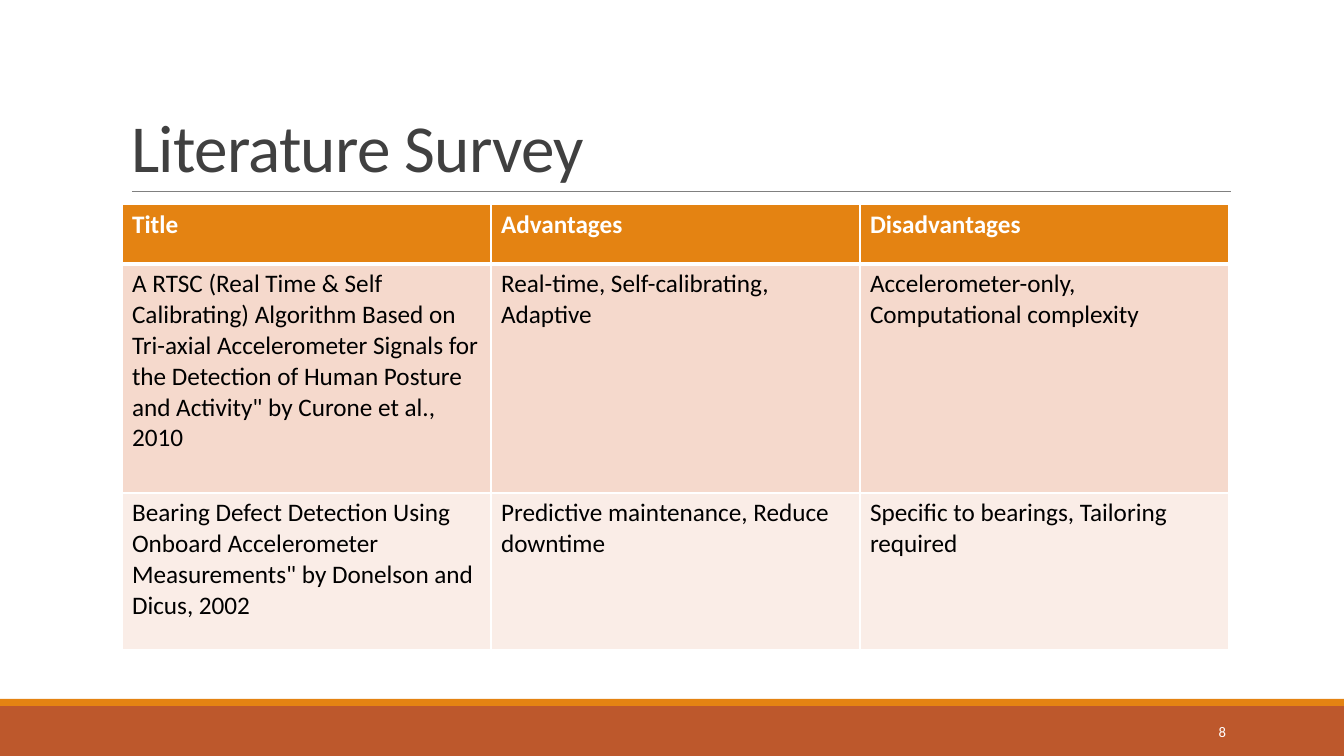
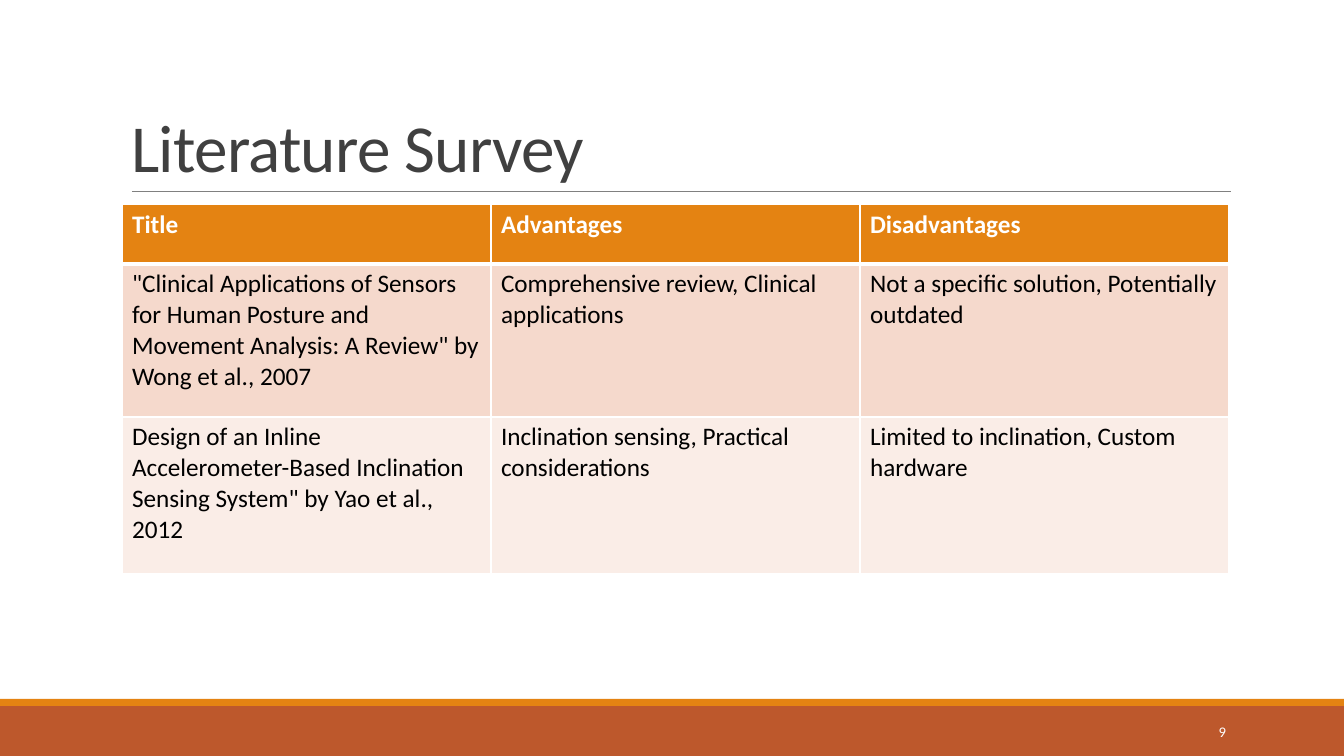
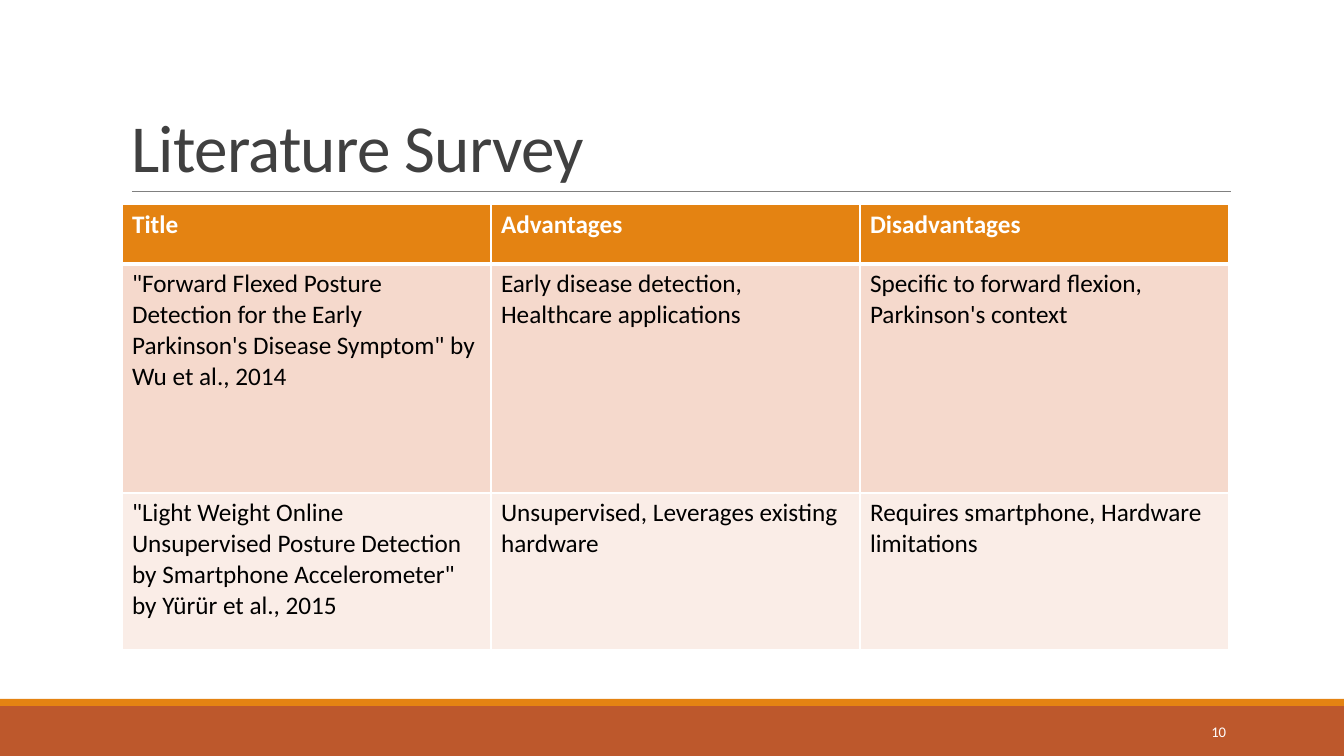
from lxml import etree
from pptx import Presentation
from pptx.dml.color import RGBColor
from pptx.enum.shapes import MSO_CONNECTOR, MSO_SHAPE
from pptx.enum.text import MSO_ANCHOR, MSO_AUTO_SIZE, PP_ALIGN
from pptx.oxml.ns import qn
from pptx.util import Emu, Pt

RECTANGLE = MSO_SHAPE.RECTANGLE
STRAIGHT = MSO_CONNECTOR.STRAIGHT
LEFT, RIGHT = PP_ALIGN.LEFT, PP_ALIGN.RIGHT
TOP, MIDDLE, BOTTOM = MSO_ANCHOR.TOP, MSO_ANCHOR.MIDDLE, MSO_ANCHOR.BOTTOM
NO_AUTOFIT = MSO_AUTO_SIZE.NONE

# Shared style
FONT = "Calibri"
COLORS = {
    "white": "FFFFFF",
    "black": "000000",
    "title": "404040",
    "rule": "808080",
    "orange": "E48312",
    "rust": "BD582C",
    "row_dark": "F5D9CC",
    "row_light": "FAEDE7",
}
PAGE_WIDTH, PAGE_HEIGHT = 1344, 756
TITLE_ONLY = 5

# Table geometry and content
TABLE_LEFT, TABLE_TOP, COLUMN_WIDTH = 122, 204, 369
HEADER_HEIGHT, LAST_ROW_HEIGHT = 60, 157
HEADER = ("Title", "Advantages", "Disadvantages")
ROW_FILLS = ("orange", "row_dark", "row_light")
FIRST_NUMBER = 8

# Each survey: height of the first body row, then the two body rows
SURVEYS = [
    (229, [
        ('A RTSC (Real Time & Self Calibrating) Algorithm Based on Tri-axial '
         'Accelerometer Signals for the Detection of Human Posture and '
         'Activity" by Curone et al., 2010',
         "Real-time, Self-calibrating, Adaptive",
         "Accelerometer-only, Computational complexity"),
        ('Bearing Defect Detection Using Onboard Accelerometer Measurements" '
         'by Donelson and Dicus, 2002',
         "Predictive maintenance, Reduce downtime",
         "Specific to bearings, Tailoring required"),
    ]),
    (153, [
        ('"Clinical Applications of Sensors for Human Posture and Movement '
         'Analysis: A Review" by Wong et al., 2007',
         "Comprehensive review, Clinical applications",
         "Not a specific solution, Potentially outdated"),
        ('Design of an Inline Accelerometer-Based Inclination Sensing System" '
         'by Yao et al., 2012',
         "Inclination sensing, Practical considerations",
         "Limited to inclination, Custom hardware"),
    ]),
    (229, [
        ('"Forward Flexed Posture Detection for the Early Parkinson\'s Disease '
         'Symptom" by Wu et al., 2014',
         "Early disease detection, Healthcare applications",
         "Specific to forward flexion, Parkinson's context"),
        ('"Light Weight Online Unsupervised Posture Detection by Smartphone '
         'Accelerometer" by Yürür et al., 2015',
         "Unsupervised, Leverages existing hardware",
         "Requires smartphone, Hardware limitations"),
    ]),
]


def px(length):
    return Emu(round(length * 914400 / 100.8))


def color(name):
    return RGBColor.from_string(COLORS[name])


def write(frame, text, size, color_name, bold=False, align=LEFT):
    """Set one paragraph of text and return it with its run."""
    frame.text = text
    frame.word_wrap = True
    para = frame.paragraphs[0]
    para.alignment = align
    span = para.runs[0]
    span.font.name = FONT
    span.font.size = Pt(size)
    span.font.bold = bold
    span.font.color.rgb = color(color_name)
    return para, span


def add_band(page, top, height, color_name):
    band = page.shapes.add_shape(RECTANGLE, 0, px(top), px(PAGE_WIDTH), px(height))
    band.shadow.inherit = False
    band.fill.solid()
    band.fill.fore_color.rgb = color(color_name)
    band.line.fill.background()


def add_rule(page, left, right, top):
    rule = page.shapes.add_connector(STRAIGHT, px(left), px(top), px(right), px(top))
    rule.line.color.rgb = color("rule")
    rule.line.width = Pt(0.5)
    etree.SubElement(rule._element.spPr, qn("a:effectLst"))


def set_title(page, text):
    title = page.shapes.title
    title.left, title.top, title.width, title.height = map(px, (121, 31, 1109, 160))
    frame = title.text_frame
    para, span = write(frame, text, 48, "title")
    frame.auto_size = NO_AUTOFIT
    frame.vertical_anchor = BOTTOM
    para.line_spacing = 0.85
    span.font._element.set("spc", "-50")


def add_page_number(page, number):
    box = page.shapes.add_textbox(px(1092), px(712), px(144), px(40))
    write(box.text_frame, str(number), 10.5, "white", align=RIGHT)
    box.text_frame.vertical_anchor = MIDDLE


def set_borders(cell, top, bottom):
    """Draw white borders; the side ones are 1 pt wide."""
    properties = cell._tc.get_or_add_tcPr()
    for side, width in (("L", 1), ("R", 1), ("T", top), ("B", bottom)):
        line = etree.SubElement(properties, qn("a:ln" + side), w=str(Pt(width)))
        fill = etree.SubElement(line, qn("a:solidFill"))
        etree.SubElement(fill, qn("a:srgbClr"), val=COLORS["white"])


def add_survey_table(page, first_height, body):
    rows = [HEADER, *body]
    heights = (HEADER_HEIGHT, first_height, LAST_ROW_HEIGHT)
    table = page.shapes.add_table(
        len(rows), len(HEADER), px(TABLE_LEFT), px(TABLE_TOP),
        px(COLUMN_WIDTH * len(HEADER)), px(sum(heights))).table
    for column in table.columns:
        column.width = px(COLUMN_WIDTH)
    for index, texts in enumerate(rows):
        is_header = index == 0
        table.rows[index].height = px(heights[index])
        for column_index, text in enumerate(texts):
            cell = table.cell(index, column_index)
            set_borders(cell, top=3 if index == 1 else 1, bottom=3 if is_header else 1)
            cell.fill.solid()
            cell.fill.fore_color.rgb = color(ROW_FILLS[index])
            cell.vertical_anchor = TOP
            write(cell.text_frame, text, 18, "white" if is_header else "black",
                  bold=is_header)


def add_page(deck, number):
    """Add a page with the bands, rule, title and number all pages share."""
    page = deck.slides.add_slide(deck.slide_layouts[TITLE_ONLY])
    add_band(page, 706, 50, "rust")
    add_band(page, 699, 7, "orange")
    add_rule(page, 132, 1231, 191)
    set_title(page, "Literature Survey")
    add_page_number(page, number)
    return page


def main():
    deck = Presentation()
    deck.slide_width, deck.slide_height = px(PAGE_WIDTH), px(PAGE_HEIGHT)
    for number, (first_height, body) in enumerate(SURVEYS, FIRST_NUMBER):
        page = add_page(deck, number)
        add_survey_table(page, first_height, body)
    deck.save("out.pptx")


if __name__ == "__main__":
    main()
